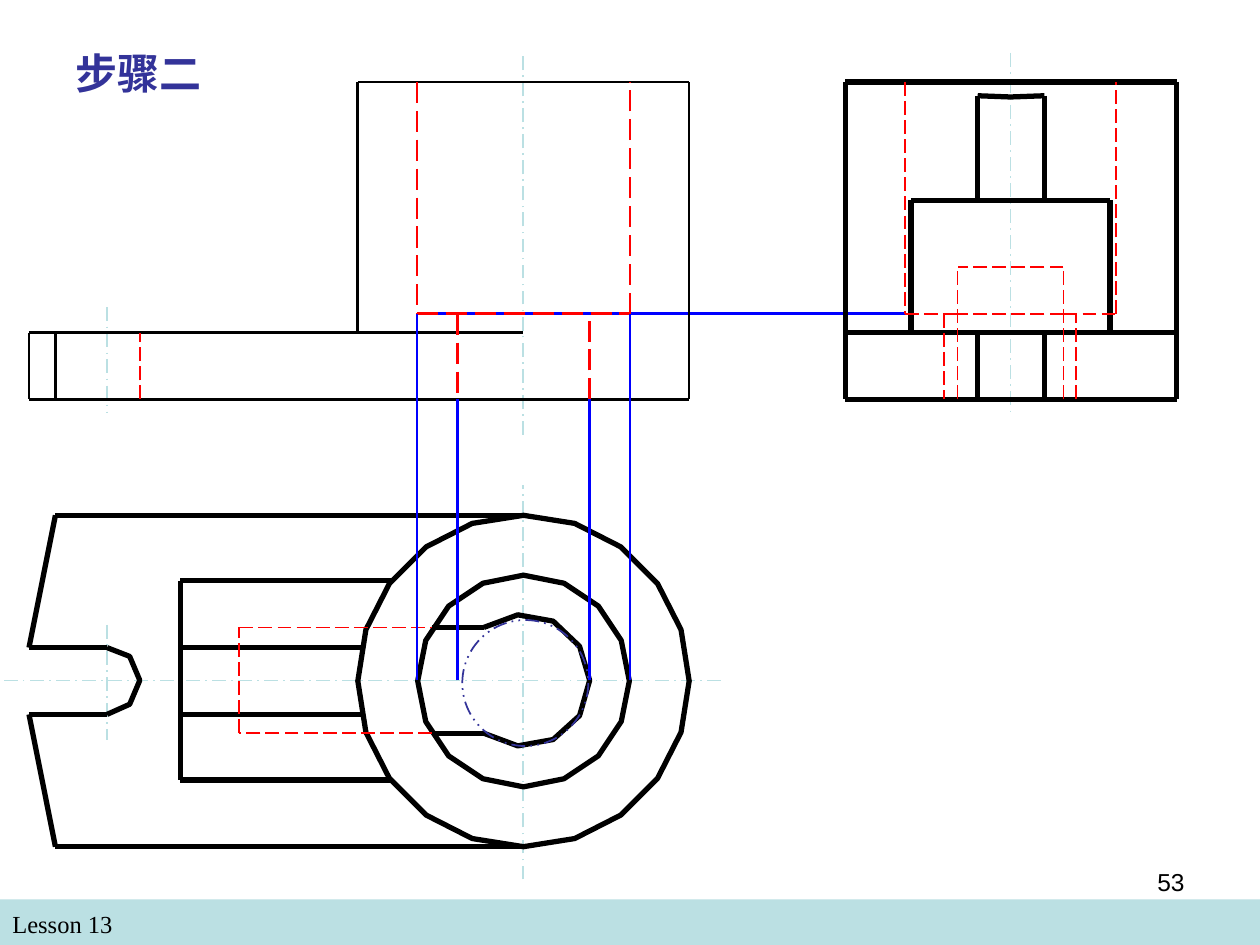
from math import cos, sin, pi

from lxml import etree
from pptx import Presentation
from pptx.dml.color import RGBColor
from pptx.enum.dml import MSO_LINE
from pptx.enum.shapes import MSO_CONNECTOR, MSO_SHAPE
from pptx.enum.text import PP_ALIGN
from pptx.oxml.ns import qn
from pptx.util import Cm, Pt

COLORS = {
    "center": "BBE0E3",
    "outline": "000000",
    "hidden": "FF0000",
    "projection": "0000FF",
    "accent": "333399",
}
INCH = 2.54


def add_text(text, x, y, w, h, size=14, font="Times New Roman",
             color="outline", bold=False, align=PP_ALIGN.LEFT):
    tf = s.shapes.add_textbox(Cm(x), Cm(y), Cm(w), Cm(h)).text_frame
    tf.word_wrap = True
    p = tf.paragraphs[0]
    p.alignment = align
    r = p.add_run()
    r.text = text
    r.font.size = Pt(size)
    r.font.name = font
    r.font.bold = bold
    r.font.color.rgb = RGBColor.from_string(COLORS[color])


def add_path(points, color, width, dash=None):
    pts = [(Cm(x * INCH), Cm(y * INCH)) for x, y in points]
    if len(pts) == 2:
        sp = s.shapes.add_connector(MSO_CONNECTOR.STRAIGHT, *pts[0], *pts[1])
        etree.SubElement(sp._element.spPr, qn("a:effectLst"))
    else:
        builder = s.shapes.build_freeform(*pts[0], scale=1.0)
        builder.add_line_segments(pts[1:], close=False)
        sp = builder.convert_to_shape()
        sp.shadow.inherit = False
        sp.fill.background()
    sp.line.color.rgb = RGBColor.from_string(COLORS[color])
    sp.line.width = Pt(width)
    if dash:
        sp.line.dash_style = dash


prs = Presentation()
prs.slide_width = Cm(25.4)
prs.slide_height = Cm(19.05)
s = prs.slides.add_slide(prs.slide_layouts[6])

band = s.shapes.add_shape(MSO_SHAPE.RECTANGLE, 0, Cm(18.13), Cm(25.4), Cm(0.92))
band.shadow.inherit = False
band.fill.solid()
band.fill.fore_color.rgb = RGBColor.from_string(COLORS["center"])
band.line.fill.background()
add_text("Lesson 13", 0, 18.21, 12.27, 0.86)

center_lines = [
    (4.15, 6.98, 4.15, 3.85), (5.72, 5.4, 0, 5.4), (8.02, 0.42, 8.02, 3.31),
    (0.85, 4.96, 0.85, 5.87), (0.85, 2.44, 0.85, 3.28), (4.15, 3.45, 4.15, 0.42),
]
height_projection = [(3.31, 2.49, 7.18, 2.49)]
top_view = [
    (0.44, 4.09, 4.16, 4.09), (0.44, 6.72, 4.15, 6.72),
    (0.23, 5.67, 0.44, 6.72), (0.44, 4.09, 0.23, 5.14),
    (0.85, 5.67, 1.03, 5.59, 1.11, 5.4, 1.03, 5.21, 0.85, 5.14),
    (0.23, 5.14, 0.85, 5.14), (0.23, 5.67, 0.85, 5.67),
    (1.43, 4.61, 1.43, 5.14), (1.43, 5.14, 1.43, 5.67), (1.43, 5.67, 1.43, 6.19),
    (1.43, 4.61, 3.11, 4.61), (1.43, 6.19, 3.11, 6.19),
    (1.43, 5.14, 2.87, 5.14), (1.43, 5.67, 2.87, 5.67),
    (3.43, 4.98, 3.84, 4.98), (3.43, 5.82, 3.84, 5.82),
    (3.84, 5.82, 4.11, 5.92, 4.39, 5.87, 4.6, 5.68, 4.68, 5.4,
     4.6, 5.13, 4.39, 4.93, 4.11, 4.88, 3.84, 4.98),
]
side_view = [
    (6.71, 0.65, 6.98, 0.65), (6.98, 0.65, 9.34, 0.65),
    (7.76, 0.76, 8.02, 0.77, 8.29, 0.76),
]
for y, xs in [(1.59, (7.23, 7.76, 8.29, 8.81)),
              (2.64, (6.71, 7.76, 8.29, 9.34)),
              (3.17, (6.71, 7.76, 8.29, 9.34))]:
    side_view += [(a, y, b, y) for a, b in zip(xs, xs[1:])]
for xs, top, bottom in [((6.71, 9.34), 0.65, 2.64),
                        ((7.76, 8.29), 0.76, 1.59),
                        ((7.23, 8.81), 1.59, 2.64),
                        ((6.71, 7.76, 8.29, 9.34), 2.64, 3.17)]:
    side_view += [(x, top, x, bottom) for x in xs]
circles = []
for radius, sides in [(1.315, 20), (0.84, 16)]:
    circle = []
    for i in range(sides + 1):
        angle = 2 * pi * i / sides
        circle += [4.155 + radius * cos(angle), 5.405 + radius * sin(angle)]
    circles.append(circle)
front_view = [
    (2.84, 0.65, 5.47, 0.65), (0.44, 2.64, 4.15, 2.64), (0.23, 2.64, 0.44, 2.64),
    (0.44, 2.64, 0.44, 3.17), (0.23, 3.17, 0.44, 3.17), (0.44, 3.17, 4.16, 3.17),
    (4.15, 3.17, 5.47, 3.17), (0.23, 2.64, 0.23, 3.17),
]
hidden_edges = [
    (1.9, 5.82, 1.9, 4.98), (3.43, 5.82, 1.9, 5.82), (1.9, 4.98, 3.43, 4.98),
    (8.44, 3.17, 8.44, 2.12), (8.44, 2.12, 7.6, 2.12), (7.6, 3.17, 7.6, 2.12),
    (8.44, 2.49, 7.6, 2.49), (7.18, 2.49, 7.6, 2.49), (8.44, 2.49, 8.86, 2.49),
    (7.18, 0.65, 7.18, 2.49), (8.86, 2.49, 8.86, 0.65),
    (7.49, 2.49, 7.49, 3.17), (8.54, 3.17, 8.54, 2.49), (1.11, 3.17, 1.11, 2.64),
]
front_sides = [(5.47, 3.17, 5.47, 0.65), (2.84, 0.65, 2.84, 2.64)]
large_bore = [(3.31, 2.49, 5, 2.49), (3.31, 0.65, 3.31, 2.49), (5, 2.49, 5, 0.65)]
bore_projections = [
    (3.31, 5.4, 3.31, 2.49), (5, 5.4, 5, 2.49),
    (3.63, 5.4, 3.63, 3.17), (4.68, 5.4, 4.68, 3.17),
]
small_bore = [(3.63, 2.49, 3.63, 3.17), (4.68, 3.17, 4.68, 2.49)]

layers = [
    (center_lines, "center", 1, MSO_LINE.LONG_DASH_DOT),
    (height_projection, "projection", 1.5, None),
    (top_view + circles + side_view, "outline", 3, None),
    (front_view, "outline", 1.5, None),
    (hidden_edges, "hidden", 1, MSO_LINE.LONG_DASH),
    (front_sides, "outline", 1.5, None),
    (large_bore, "hidden", 1.5, MSO_LINE.LONG_DASH),
    (bore_projections, "projection", 1.5, None),
    (small_bore, "hidden", 1.5, MSO_LINE.LONG_DASH),
]
for paths, color, width, dash in layers:
    for path in paths:
        add_path(list(zip(path[::2], path[1::2])), color, width, dash)

bore = s.shapes.add_shape(MSO_SHAPE.OVAL, Cm(9.32), Cm(12.5), Cm(2.54), Cm(2.54))
bore.shadow.inherit = False
bore.fill.background()
bore.line.color.rgb = RGBColor.from_string(COLORS["accent"])
bore.line.width = Pt(1)
bore.line.dash_style = MSO_LINE.DASH_DOT_DOT

add_text("步骤二", 1.27, 0.84, 5.72, 1.27, size=24, color="accent", bold=True)
add_text("53", 18.21, 17.35, 5.92, 1.32, font="Arial", align=PP_ALIGN.RIGHT)

prs.save("out.pptx")
